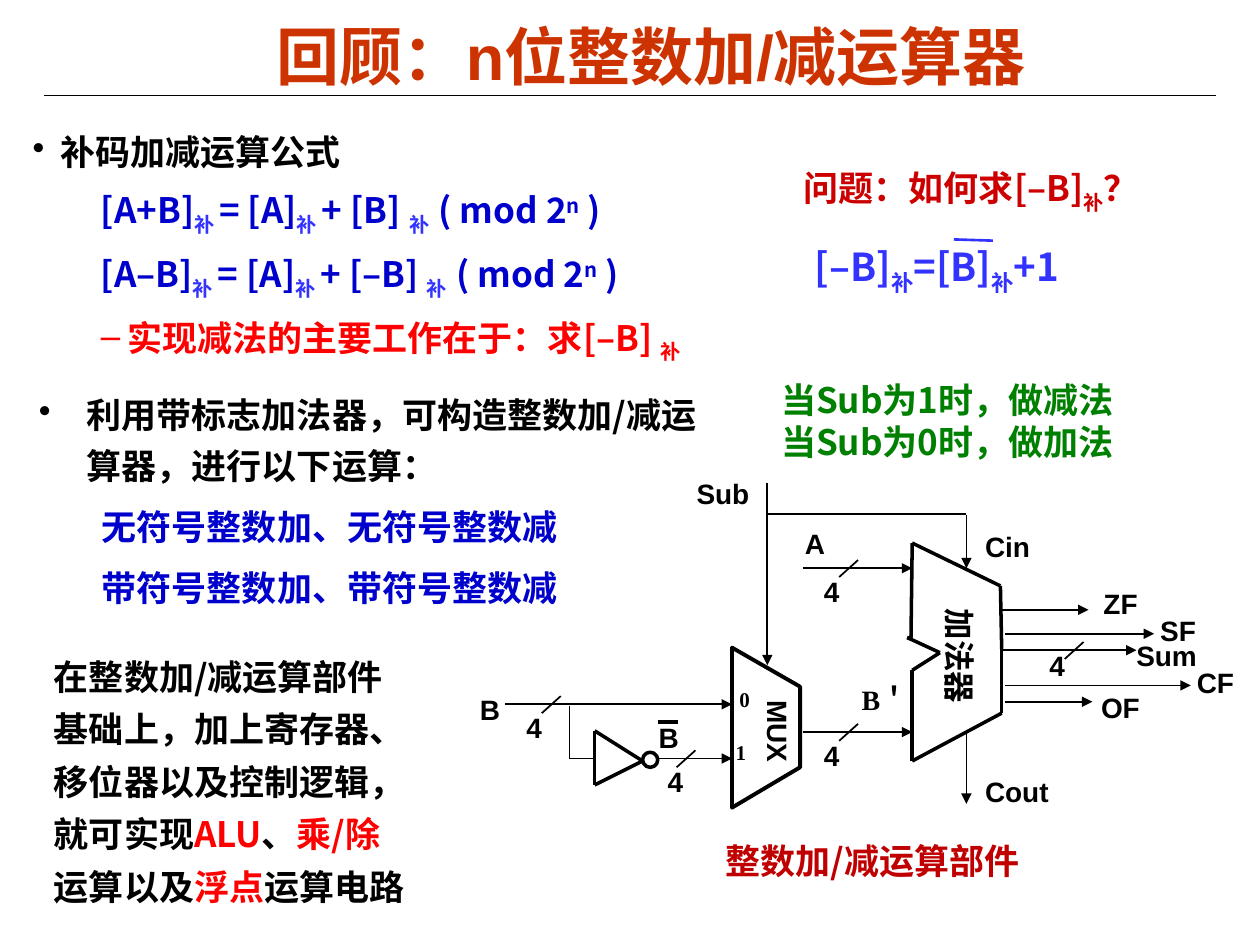
"""Builds a slide that reviews the n-bit integer adder/subtractor."""
from dataclasses import dataclass
from itertools import pairwise

from lxml import etree
from pptx import Presentation
from pptx.dml.color import RGBColor
from pptx.enum.shapes import MSO_CONNECTOR, MSO_SHAPE
from pptx.enum.text import MSO_ANCHOR, MSO_AUTO_SIZE, PP_ALIGN
from pptx.oxml.ns import qn
from pptx.util import Emu, Inches, Pt

STRAIGHT = MSO_CONNECTOR.STRAIGHT
OVAL = MSO_SHAPE.OVAL
TOP, MIDDLE = MSO_ANCHOR.TOP, MSO_ANCHOR.MIDDLE
CENTER = PP_ALIGN.CENTER
FIXED = MSO_AUTO_SIZE.NONE

BLACK = RGBColor(0x00, 0x00, 0x00)
ORANGE = RGBColor(0xCC, 0x33, 0x00)
NAVY = RGBColor(0x00, 0x00, 0xCC)
BLUE = RGBColor(0x33, 0x33, 0xFF)
RED = RGBColor(0xFF, 0x00, 0x00)
CRIMSON = RGBColor(0xCC, 0x00, 0x00)
DARK_RED = RGBColor(0xC0, 0x00, 0x00)
GREEN = RGBColor(0x00, 0x80, 0x00)

SANS, HAN, SERIF = "Arial", "Noto Sans CJK SC", "Times New Roman"
SUB, SUPER = -25, 30
WIDTH, HEIGHT = Inches(10), Inches(7.5)
COLUMN, ROW = WIDTH / 100, HEIGHT / 75


@dataclass(frozen=True)
class Span:
    """A run of text; shift is its baseline in percent."""
    text: str
    color: RGBColor = BLACK
    shift: int = 0


@dataclass(frozen=True)
class Line:
    """A paragraph; margin and hanging are in columns, before in points."""
    spans: tuple[Span, ...]
    margin: float = 0
    hanging: float = 0
    bullet: str = ""
    bullet_color: RGBColor = BLACK
    spacing: float | None = None
    before: float = 0


@dataclass(frozen=True)
class Block:
    """A text box placed in columns and rows."""
    left: float
    top: float
    width: float
    height: float
    lines: tuple[Line, ...]
    size: float = 20
    font: str = HAN
    wrap: bool = True
    turn: float = 0
    anchor: MSO_ANCHOR = TOP
    inset: tuple[float, float] = (1, 0.5)


@dataclass(frozen=True)
class Wire:
    """A straight line in columns and rows, with an optional arrowhead."""
    x1: float
    y1: float
    x2: float
    y2: float
    weight: float = 1
    arrow: bool = False
    color: RGBColor = BLACK


@dataclass(frozen=True)
class BusMark:
    """The slash and the 4 that mark a four-bit bus."""
    x: float
    y: float
    label_dx: float = -2.2
    spacing: float | None = None


def cols(count: float) -> Emu:
    return Emu(round(count * COLUMN))


def rows(count: float) -> Emu:
    return Emu(round(count * ROW))


def write_line(paragraph, line: Line, size: float, font: str) -> None:
    properties = paragraph._p.get_or_add_pPr()
    properties.set("marL", str(cols(line.margin)))
    properties.set("indent", str(cols(-line.hanging)))
    if line.bullet:
        tint = etree.SubElement(properties, qn("a:buClr"))
        etree.SubElement(tint, qn("a:srgbClr"), val=str(line.bullet_color))
        etree.SubElement(properties, qn("a:buChar"), char=line.bullet)
    else:
        etree.SubElement(properties, qn("a:buNone"))
    paragraph.space_before = Pt(line.before)
    if line.spacing:
        paragraph.line_spacing = line.spacing
    for span in line.spans:
        run = paragraph.add_run()
        run.text = span.text
        run.font.size, run.font.bold, run.font.name = Pt(size), True, font
        run.font.color.rgb = span.color
        run_properties = run.font._element
        etree.SubElement(run_properties, qn("a:ea"), typeface=HAN)
        if span.shift:
            run_properties.set("baseline", str(span.shift * 1000))


def fill_block(holder, block: Block) -> None:
    holder.left, holder.top = cols(block.left), rows(block.top)
    holder.width, holder.height = cols(block.width), rows(block.height)
    holder.rotation = block.turn
    frame = holder.text_frame
    frame.word_wrap, frame.auto_size = block.wrap, FIXED
    frame.vertical_anchor = block.anchor
    frame.margin_left = frame.margin_right = cols(block.inset[0])
    frame.margin_top = frame.margin_bottom = rows(block.inset[1])
    for index, line in enumerate(block.lines):
        paragraph = frame.add_paragraph() if index else frame.paragraphs[0]
        write_line(paragraph, line, block.size, block.font)


def draw_block(slide, block: Block) -> None:
    fill_block(slide.shapes.add_textbox(0, 0, 0, 0), block)


def draw_wire(slide, wire: Wire) -> None:
    connector = slide.shapes.add_connector(
        STRAIGHT, cols(wire.x1), rows(wire.y1), cols(wire.x2), rows(wire.y2))
    connector.line.color.rgb = wire.color
    connector.line.width = Pt(wire.weight)
    if wire.arrow:
        etree.SubElement(connector.line._get_or_add_ln(), qn("a:tailEnd"), type="triangle")
    etree.SubElement(connector._element.spPr, qn("a:effectLst"))


def label(text, left, top, width, size=16, font=SANS, wrap=False, turn=0, spacing=None) -> Block:
    return Block(left, top, width, 3.6, (Line((Span(text),), spacing=spacing),),
                 size, font, wrap, turn)


def draw_bus_mark(slide, mark: BusMark) -> None:
    draw_wire(slide, Wire(mark.x + 1.5, mark.y - 1.35, mark.x, mark.y))
    draw_block(slide, label("4", mark.x + mark.label_dx, mark.y - 0.7, 3.2, spacing=mark.spacing))


def formula(result: str, operand: str) -> Line:
    sub, wide_sub = Span("补 ", BLUE, SUB), Span("补  ", BLUE, SUB)
    return Line((Span(result, NAVY), sub, Span("= [A]", NAVY), sub, Span(f"+ {operand} ", NAVY),
                 wide_sub, Span("( mod 2", NAVY), Span("n", NAVY, SUPER), Span(" )", NAVY)),
                7.5, 2.1, spacing=1.15, before=5)


def operation(text: str) -> Line:
    return Line((Span(text, NAVY),), 8.1, 3.1, spacing=1.2, before=6.2)


TITLE = Block(11.6, 1.1, 80.2, 6.6, (Line((Span("回顾：n位整数加/减运算器", ORANGE),)),),
              36, SANS, anchor=MIDDLE, inset=(0.7, 0.3))
BLOCKS = (
    Block(2.1, 30.1, 54.3, 28.2, (
        Line((Span("利用带标志加法器，可构造整数加/减运算器，进行以下运算："),),
             3.8, 3.8, "•", spacing=1.2),
        operation("无符号整数加、无符号整数减"), operation("带符号整数加、带符号整数减"))),
    Block(61, 29.5, 31.2, 7.7, tuple(
        Line((Span(f"当Sub为{bit}时，做{action}法", GREEN),))
        for bit, action in ((1, "减"), (0, "加"))), anchor=MIDDLE),
    Block(1.9, 9.6, 64.7, 19.6, (
        Line((Span("补码加减运算公式"),), 2.2, 2.2, "•", spacing=1.15),
        formula("[A+B]", "[B]"), formula("[A–B]", "[–B]"),
        Line((Span("实现减法的主要工作在于：求[–B] ", RED), Span("补", RED, SUB)),
             7.5, 2.1, "–", RED, 1.15, 5)), inset=(0.7, 0.3)),
    Block(62.8, 12.7, 31.4, 4.8, (Line((
        Span("问题：如何求[–B]", CRIMSON), Span("补", CRIMSON, SUB), Span("？", CRIMSON))),)),
    Block(63.7, 18.8, 26, 5.2, (Line((
        Span("[–B]", BLUE), Span("补", BLUE, SUB), Span("=[B]", BLUE),
        Span("补", BLUE, SUB), Span("+1", BLUE))),), 22),
    Block(3.3, 50.7, 30.6, 24, (Line((
        Span("在整数加/减运算部件基础上，加上寄存器、移位器以及控制逻辑，就可实现"),
        Span("ALU", RED), Span("、"), Span("乘/除", RED), Span("运算以及"),
        Span("浮点", RED), Span("运算电路")), spacing=1.25),)),
    Block(56.6, 66.1, 26.1, 7.7, (Line((Span("整数加/减运算部件", DARK_RED),)),)),
    label("Sub", 54.3, 37.3, 6.2), label("A", 62.9, 41.3, 3.6),
    label("B", 37.1, 54.5, 3.6), label("B", 51.3, 56.7, 3.6),
    label("B＇", 67.4, 53.7, 6.8, font=SERIF, wrap=True),
    label("Cin", 77.2, 41.5, 5.6), label("Cout", 77.2, 61, 7),
    label("ZF", 86.6, 46.1, 4.7), label("SF", 91.1, 48.2, 5.9, wrap=True),
    label("Sum", 89.2, 50.2, 6.8), label("CF", 94, 52.3, 6, wrap=True),
    label("OF", 86.4, 54.3, 5.1),
    label("0", 57.7, 54, 2.8, 12, SERIF), label("1", 57.4, 58.2, 2.8, 12, SERIF),
    label("加法器", 71, 50.9, 10.7, 18, wrap=True, turn=90),
    label("MUX", 57.7, 56.9, 8.2, wrap=True, turn=90),
)
ADDER = ((72.4, 43.1), (79.4, 46.5), (79.5, 51.5), (79.5, 56.6), (72.4, 60.4), (72.4, 53.2),
         (74.6, 51.8), (72, 50.6), (72.3, 50.7), (72.4, 43.1))
INVERTER = ((51, 60.4), (47.2, 58), (47.2, 62.3), (51, 60.4))
MUX = ((58.1, 64.1), (63.5, 60.9), (63.5, 54.5), (58.1, 51.4))
FLAG_OUTPUTS = ((79.5, 86.4, 48.4), (79.8, 91.6, 50.3), (79.6, 90.2, 51.6),
                (79.8, 94.5, 54.4), (79.8, 86.7, 55.7))
INPUTS = ((63.7, 72.4, 45.1), (63.7, 72.4, 58.1), (40.1, 58.1, 55.9), (52.3, 58.1, 60.2))
WIRES = (
    Wire(3.5, 7.6, 96.5, 7.6, 0.75),
    Wire(75.7, 19, 78.8, 19.1, 1.5, color=BLUE),
    Wire(52.2, 57.3, 53.8, 57.3, 2.25),
    Wire(60.9, 38.3, 60.9, 52.8, arrow=True),
    Wire(60.8, 40.8, 76.7, 40.8),
    Wire(76.7, 40.9, 76.7, 45.1, arrow=True),
    Wire(76.7, 58.2, 76.7, 63.8, arrow=True),
    Wire(45.2, 56, 45.2, 60.2),
    Wire(45.2, 60.2, 47.2, 60.2),
    *(Wire(start, y, end, y, arrow=True) for start, end, y in INPUTS + FLAG_OUTPUTS),
    *(Wire(*a, *b, 2) for outline in (ADDER, INVERTER) for a, b in pairwise(outline)),
)
BUS_MARKS = (BusMark(66.6, 45.8), BusMark(66.6, 58.8), BusMark(84.5, 52.3, spacing=0.75),
             BusMark(43, 56.6), BusMark(53.7, 60.9, -1.7))


def outline_shape(shape, weight: float) -> None:
    shape.shadow.inherit = False
    shape.fill.background()
    shape.line.color.rgb = BLACK
    shape.line.width = Pt(weight)


def main() -> None:
    deck = Presentation()
    deck.slide_width, deck.slide_height = WIDTH, HEIGHT
    slide = deck.slides.add_slide(deck.slide_layouts[5])
    fill_block(slide.shapes.title, TITLE)
    slide.shapes.title.text_frame.paragraphs[0].alignment = CENTER
    for wire in WIRES:
        draw_wire(slide, wire)
    bubble = slide.shapes.add_shape(OVAL, cols(51), rows(59.7), cols(1.2), rows(1.2))
    outline_shape(bubble, 2)
    corners = [(cols(x), rows(y)) for x, y in MUX]
    builder = slide.shapes.build_freeform(*corners[0])
    builder.add_line_segments(corners[1:], close=True)
    outline_shape(builder.convert_to_shape(), 2.25)
    for block in BLOCKS:
        draw_block(slide, block)
    for mark in BUS_MARKS:
        draw_bus_mark(slide, mark)
    deck.save("out.pptx")


if __name__ == "__main__":
    main()
